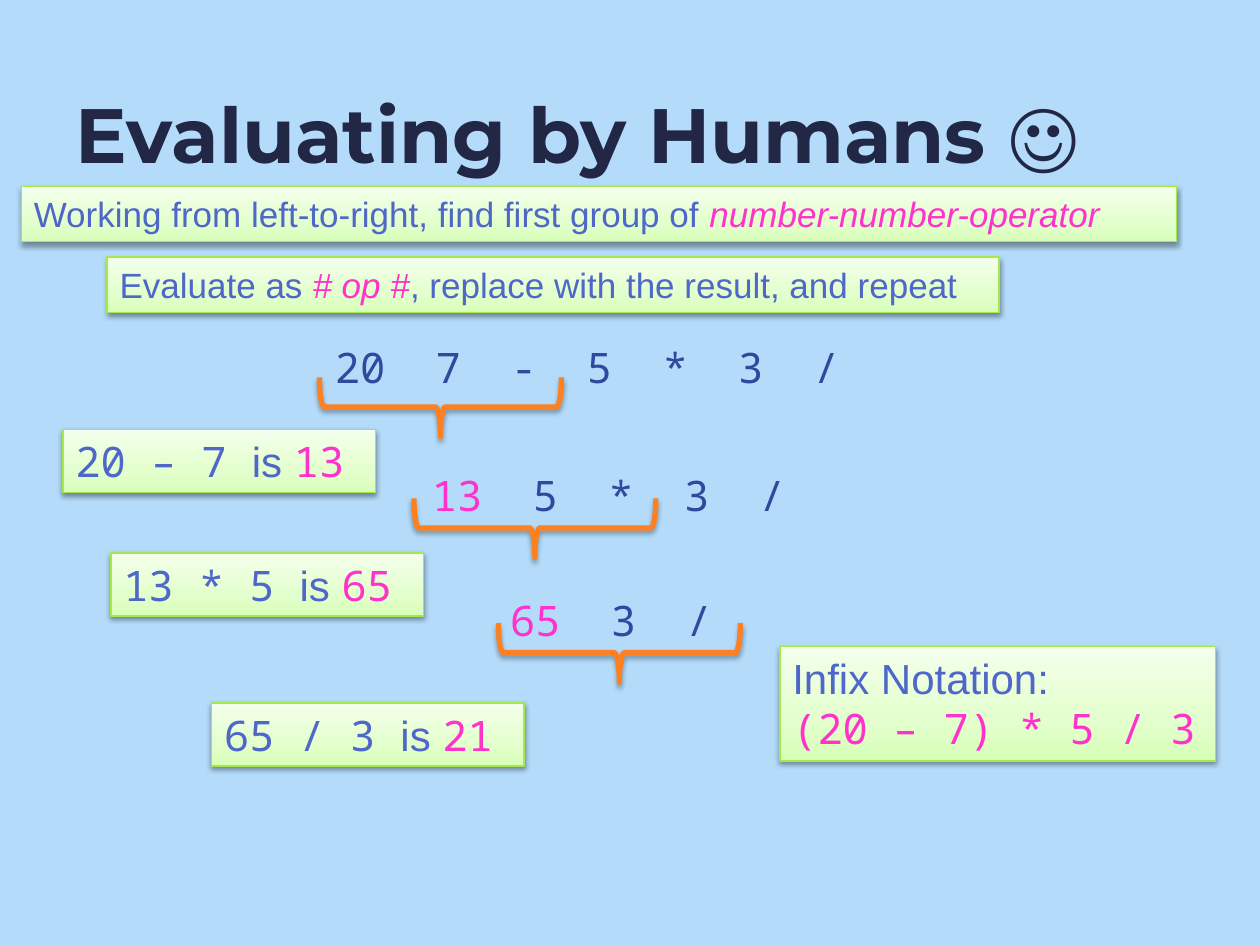
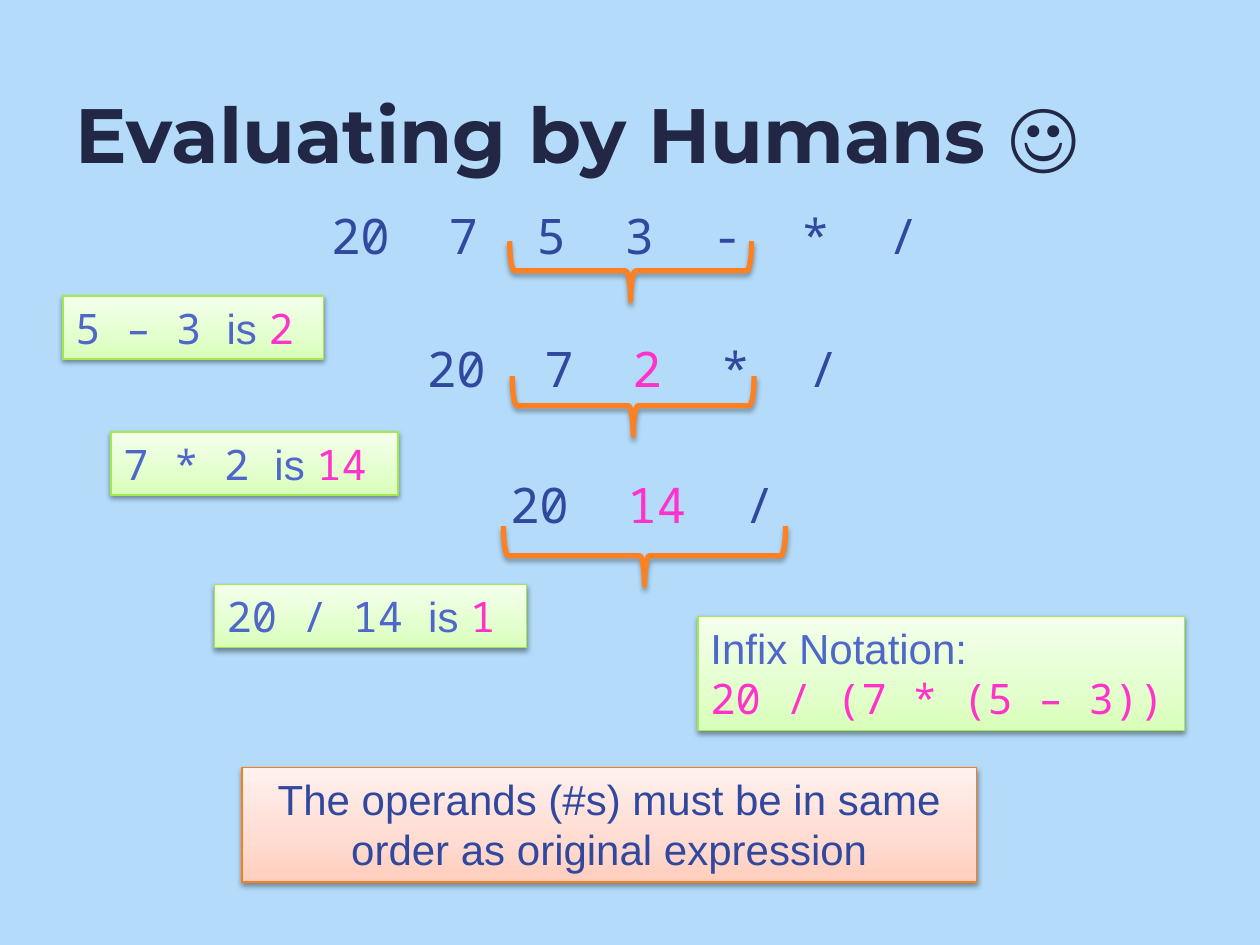
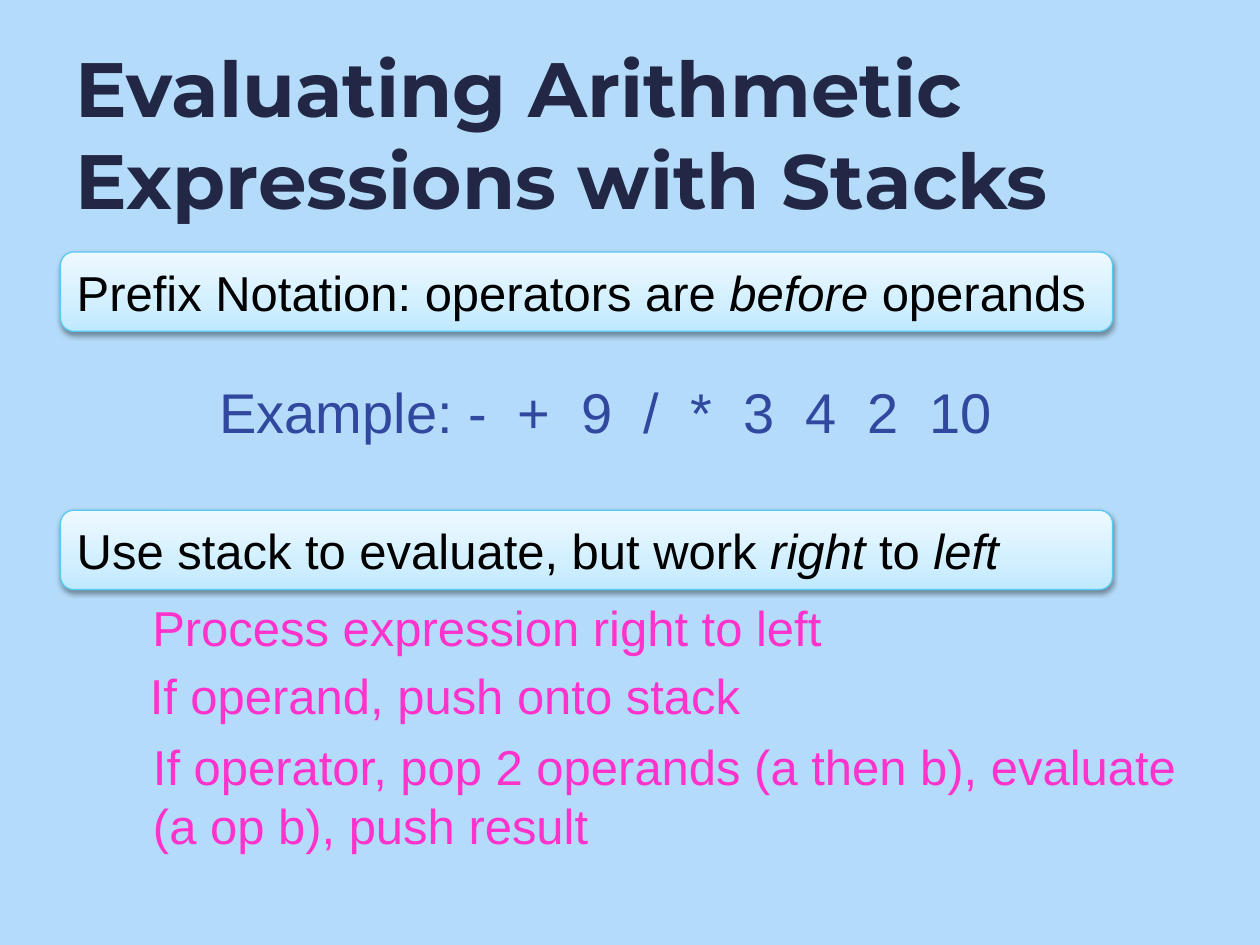
from copy import deepcopy
from dataclasses import dataclass
from typing import NamedTuple, Optional

import pptx
import pptx.dml.color
import pptx.enum.shapes
import pptx.enum.text
import pptx.oxml
import pptx.oxml.ns
import pptx.util
from pptx.slide import Slide

Form = pptx.enum.shapes.MSO_SHAPE
Anchor = pptx.enum.text.MSO_ANCHOR
Align = pptx.enum.text.PP_ALIGN
Fit = pptx.enum.text.MSO_AUTO_SIZE
qn = pptx.oxml.ns.qn

WIDE, HIGH = pptx.util.Inches(10), pptx.util.Inches(7.5)
COLS, ROWS = 100, 75


class Ink(NamedTuple):
    font: str
    color: str
    italic: bool = False


class Skin(NamedTuple):
    """Gradient colours from bottom to top, and the outline."""
    stops: tuple[str, str, str]
    line: str


@dataclass(frozen=True)
class Theme:
    sky: str = "B4DCFA"
    brace: str = "FF8021"
    shade: str = "000000"
    title: Ink = Ink("Montserrat", "212745")
    lead: Ink = Ink("Arial", "4E67C8")
    calc: Ink = Ink("Noto Sans Mono", "4E67C8")
    code: Ink = Ink("Noto Sans Mono", "31489F")
    hot: Ink = Ink("Noto Sans Mono", "FF33CC")
    key: Ink = Ink("Arial", "FF33CC", True)
    step: Ink = Ink("Arial", "FF33CC")
    body: Ink = Ink("Arial", "31489F")
    plain: Ink = Ink("Arial", "000000")
    stress: Ink = Ink("Arial", "000000", True)
    green: Skin = Skin(("D8FFB8", "E3FFCD", "F4FFEC"), "A4E94C")
    coral: Skin = Skin(("FFCDBD", "FFDBD1", "FFF1EE"), "FF7C1B")
    blue: Skin = Skin(("BFE9FF", "D2EFFF", "EEF9FF"), "58C9F1")
    stop_at: tuple[float, ...] = (0, 0.35, 1)
    head_pt: int = 44
    big_pt: int = 32
    mid_pt: int = 28
    base_pt: int = 24
    small_pt: int = 20
    edge_pt: float = 0.75
    brace_pt: int = 3


T = Theme()
Run = tuple[str, Ink]
Line = tuple[Run, ...]


class Place(NamedTuple):
    """Left, top, width and height in grid columns and rows."""
    col: float
    row: float
    cols: float
    rows: float

    def emu(self) -> tuple[int, ...]:
        return (round(self.col * WIDE / COLS), round(self.row * HIGH / ROWS),
                round(self.cols * WIDE / COLS), round(self.rows * HIGH / ROWS))


@dataclass(frozen=True)
class Box:
    place: Place
    lines: tuple[Line, ...]
    size: int
    skin: Optional[Skin] = None
    form: Form = Form.RECTANGLE
    anchor: Anchor = Anchor.TOP
    align: Align = Align.LEFT
    wrap: bool = True


@dataclass(frozen=True)
class Step:
    """One round: the expression, its brace, and what the group yields."""
    before: str
    fresh: str
    after: str
    text: Place
    brace: Place
    sum: str
    result: str
    fact: Place


TITLE = Place(5, 2.7, 91.7, 15.7)


def rgb(color: str) -> pptx.dml.color.RGBColor:
    return pptx.dml.color.RGBColor.from_string(color)


def ink_run(run, ink: Ink, size: int) -> None:
    font = run.font
    font.name, font.size, font.italic = ink.font, pptx.util.Pt(size), ink.italic
    font.color.rgb = rgb(ink.color)


def write(frame, box: Box) -> None:
    frame.word_wrap = box.wrap
    frame.auto_size = Fit.SHAPE_TO_FIT_TEXT
    frame.vertical_anchor = box.anchor
    for i, line in enumerate(box.lines):
        para = frame.paragraphs[0] if i == 0 else frame.add_paragraph()
        para.alignment = box.align
        for text, ink in line:
            run = para.add_run()
            run.text = text
            ink_run(run, ink, box.size)


def shade(shape, alpha: int, drop: float) -> None:
    """Cast a soft shadow straight down."""
    shape.shadow.inherit = False
    blur, dist = pptx.util.Pt(3.1), pptx.util.Pt(drop)
    shape._element.spPr.find(qn("a:effectLst")).append(pptx.oxml.parse_xml(
        '<a:outerShdw xmlns:a="http://schemas.openxmlformats.org/drawingml/2006/main" '
        f'blurRad="{blur}" dist="{dist}" dir="5400000" rotWithShape="0">'
        f'<a:srgbClr val="{T.shade}"><a:alpha val="{alpha * 1000}"/></a:srgbClr>'
        '</a:outerShdw>'))


def coat(shape, skin: Skin) -> None:
    fill = shape.fill
    fill.gradient()
    fill.gradient_angle = 90
    stops = shape._element.spPr.find(qn("a:gradFill")).find(qn("a:gsLst"))
    stops.append(deepcopy(stops[0]))
    for stop, color, spot in zip(fill.gradient_stops, skin.stops, T.stop_at):
        stop.color.rgb, stop.position = rgb(color), spot
    shape.line.color.rgb = rgb(skin.line)
    shape.line.width = pptx.util.Pt(T.edge_pt)
    shade(shape, 38, 1.6)


def add_box(slide: Slide, box: Box) -> None:
    shape = slide.shapes.add_shape(box.form, *box.place.emu())
    if box.skin:
        coat(shape, box.skin)
    else:
        shape.fill.background()
        shape.line.fill.background()
        shape.shadow.inherit = False
    write(shape.text_frame, box)


def add_text(slide: Slide, box: Box) -> None:
    write(slide.shapes.add_textbox(*box.place.emu()).text_frame, box)


def add_brace(slide: Slide, place: Place) -> None:
    """Fill the place with a right brace turned to point down."""
    left, top, wide, high = place.emu()
    shift = (wide - high) // 2
    brace = slide.shapes.add_shape(Form.RIGHT_BRACE, left + shift, top - shift, high, wide)
    brace.rotation = 90
    brace.fill.background()
    brace.line.color.rgb = rgb(T.brace)
    brace.line.width = pptx.util.Pt(T.brace_pt)
    shade(brace, 35, 1.8)


def add_step(slide: Slide, step: Step, size: int) -> None:
    parts = ((step.before, T.code), (step.fresh, T.hot), (step.after, T.code))
    line = tuple(part for part in parts if part[0])
    add_text(slide, Box(step.text, (line,), size, wrap=False))
    add_brace(slide, step.brace)
    fact = ((step.sum + " ", T.calc), ("is ", T.lead), (step.result, T.hot))
    add_box(slide, Box(step.fact, (fact,), T.base_pt, T.green, wrap=False))


def add_infix(slide: Slide, place: Place, text: str) -> None:
    lines = ((("Infix Notation:", T.lead),), ((text, T.hot),))
    add_box(slide, Box(place, lines, T.base_pt, T.green, wrap=False))


def add_slide(deck, title: str) -> Slide:
    slide = deck.slides.add_slide(deck.slide_layouts.get_by_name("Title Only"))
    head = slide.shapes.title
    head.left, head.top, head.width, head.height = TITLE.emu()
    frame = head.text_frame
    frame.text = title
    frame.word_wrap, frame.auto_size = True, Fit.NONE
    frame.vertical_anchor = Anchor.MIDDLE
    para = frame.paragraphs[0]
    para.alignment = Align.LEFT
    ink_run(para.runs[0], T.title, T.head_pt)
    para.runs[0].font.bold = True
    return slide


HUMANS = "Evaluating by Humans ☺"

RULES = (
    Box(Place(1.7, 14.8, 91.7, 4.4),
        ((("Working from left-to-right, find first group of ", T.lead),
          ("number-number-operator", T.key)),), T.small_pt, T.green),
    Box(Place(8.5, 20.4, 70.8, 4.4),
        ((("Evaluate as ", T.lead), ("# op #", T.key),
          (", replace with the result, and repeat", T.lead)),), T.small_pt, T.green),
)

FIRST = (
    Step("20  7  -  5  *  3  /", "", "", Place(25.6, 26.6, 42.7, 5),
         Place(25.35, 29.95, 19.2, 4.7), "20 – 7", "13", Place(5, 34.1, 24.8, 5)),
    Step("", "13  ", "5  *  3  /", Place(33.3, 36.8, 30.5, 5),
         Place(32.85, 39.55, 19.2, 4.7), "13 * 5", "65", Place(8.8, 43.9, 24.8, 5)),
    Step("", "65  ", "3  /", Place(39.5, 46.7, 18.3, 5),
         Place(39.55, 49.45, 19.2, 4.7), "65 / 3", "21", Place(16.8, 55.8, 24.8, 5)),
)

SECOND = (
    Step("20  7  5  3  -  *  /", "", "", Place(25.3, 15.8, 49.4, 5.7),
         Place(40.45, 19.15, 19.2, 4.7), "5 – 3", "2", Place(5, 23.5, 20.7, 5)),
    Step("20  7  ", "2  ", "*  /", Place(32.9, 26.4, 35.2, 5.7),
         Place(40.65, 29.85, 19.2, 4.7), "7 * 2", "14", Place(8.8, 34.3, 22.8, 5)),
    Step("20  ", "14  ", "/", Place(39.5, 37.2, 23.3, 5.7),
         Place(39.95, 41.75, 22.4, 4.7), "20 / 14", "1", Place(17, 46.4, 24.8, 5)),
)

ORDER = Box(Place(19.2, 60.9, 58.3, 9.1),
            ((("The operands (#s) must be in same order as original expression", T.body),),),
            T.base_pt, T.coral, align=Align.CENTER)


def stack_box(place: Place, line: Line, size: int = T.mid_pt,
              skin: Optional[Skin] = None, align: Align = Align.LEFT) -> Box:
    return Box(place, (line,), size, skin, Form.ROUNDED_RECTANGLE, Anchor.MIDDLE, align)


STACKS = (
    stack_box(Place(4.8, 20, 83.5, 6.3),
              (("Prefix Notation: operators are ", T.plain), ("before", T.stress),
               (" operands", T.plain)), skin=T.blue),
    stack_box(Place(4.8, 40.5, 83.5, 6.3),
              (("Use stack to evaluate, but work ", T.plain), ("right", T.stress),
               (" to ", T.plain), ("left", T.stress)), skin=T.blue),
    stack_box(Place(15.4, 29.1, 65.5, 7.1),
              (("Example: -  +  9  /  *  3  4  2  10", T.body),), T.big_pt,
              align=Align.CENTER),
    stack_box(Place(10.8, 46.6, 63.3, 6.3),
              (("Process expression right to left", T.step),)),
    stack_box(Place(10.6, 52, 52, 6.3), (("If operand, push onto stack", T.step),)),
    stack_box(Place(10.6, 57.4, 86.1, 11.5),
              (("If operator, pop 2 operands (a then b), evaluate (a op b), push result",
                T.step),)),
)


def main() -> None:
    deck = pptx.Presentation()
    deck.slide_width, deck.slide_height = WIDE, HIGH
    back = deck.slide_master.background.fill
    back.solid()
    back.fore_color.rgb = rgb(T.sky)

    slide = add_slide(deck, HUMANS)
    for rule in RULES:
        add_box(slide, rule)
    for step in FIRST:
        add_step(slide, step, T.base_pt)
    add_infix(slide, Place(61.9, 51.3, 34.6, 9.1), "(20 – 7) * 5 / 3")

    slide = add_slide(deck, HUMANS)
    for step in SECOND:
        add_step(slide, step, T.mid_pt)
    add_infix(slide, Place(55.4, 48.9, 38.6, 9.1), "20 / (7 * (5 – 3))")
    add_box(slide, ORDER)

    slide = add_slide(deck, "Evaluating Arithmetic Expressions with Stacks")
    for box in STACKS:
        add_box(slide, box)

    deck.save("out.pptx")


if __name__ == "__main__":
    main()
